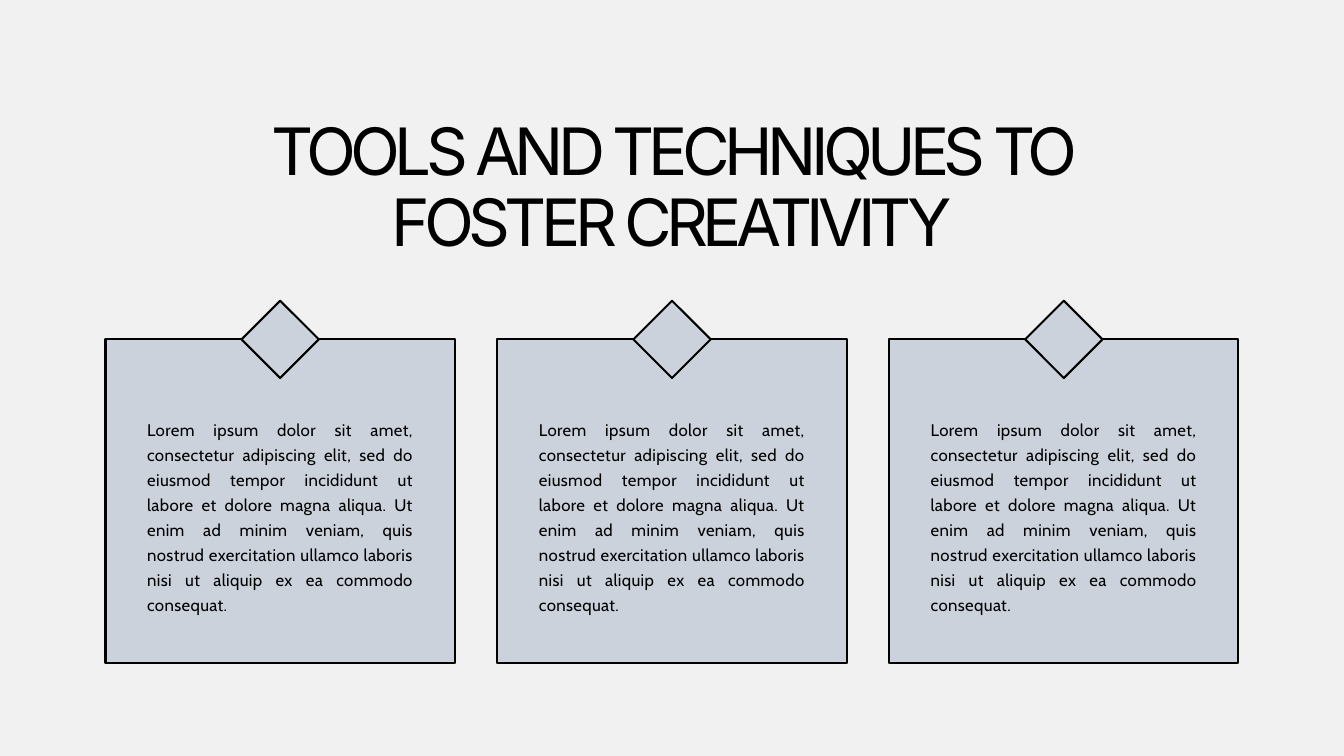
from dataclasses import dataclass

from pptx import Presentation
from pptx.dml.color import RGBColor
from pptx.enum.shapes import MSO_SHAPE
from pptx.enum.text import MSO_AUTO_SIZE, PP_ALIGN
from pptx.util import Pt

RECTANGLE, DIAMOND = MSO_SHAPE.RECTANGLE, MSO_SHAPE.DIAMOND
CENTER, JUSTIFY = PP_ALIGN.CENTER, PP_ALIGN.JUSTIFY
FIT_SHAPE = MSO_AUTO_SIZE.SHAPE_TO_FIT_TEXT

PX = 9144
SLIDE_WIDTH, SLIDE_HEIGHT = 2000, 1125
CARD_WIDTH, CARD_HEIGHT, CARD_GAP, CARD_TOP = 520, 481, 63, 505
DIAMOND_SIZE = 115

TITLE = "TOOLS AND TECHNIQUES TO FOSTER CREATIVITY"
LOREM = (
    "Lorem ipsum dolor sit amet, consectetur adipiscing elit, sed do eiusmod "
    "tempor incididunt ut labore et dolore magna aliqua. Ut enim ad minim "
    "veniam, quis nostrud exercitation ullamco laboris nisi ut aliquip ex ea "
    "commodo consequat."
)
CARDS = [LOREM, LOREM, LOREM]


@dataclass(frozen=True)
class TextStyle:
    font: str
    size: float
    leading: float
    tracking: float
    align: PP_ALIGN


@dataclass(frozen=True)
class Theme:
    background: RGBColor = RGBColor(0xF1, 0xF1, 0xF1)
    card: RGBColor = RGBColor(0xCC, 0xD2, 0xDC)
    ink: RGBColor = RGBColor(0, 0, 0)
    outline: float = 2.25
    title: TextStyle = TextStyle("Inter", 70, 75.6, -6, CENTER)
    body: TextStyle = TextStyle("Cabin", 18, 26.8, 0.4, JUSTIFY)


THEME = Theme()


def emu(*lengths):
    return [round(length * PX) for length in lengths]


def add_panel(slide, kind, box):
    panel = slide.shapes.add_shape(kind, *emu(*box))
    panel.shadow.inherit = False
    panel.fill.solid()
    panel.fill.fore_color.rgb = THEME.card
    panel.line.color.rgb = THEME.ink
    panel.line.width = Pt(THEME.outline)


def add_text(slide, box, text, style):
    frame = slide.shapes.add_textbox(*emu(*box)).text_frame
    frame.margin_left = frame.margin_top = 0
    frame.margin_right = frame.margin_bottom = 0
    frame.word_wrap = True
    frame.auto_size = FIT_SHAPE
    paragraph = frame.paragraphs[0]
    paragraph.alignment = style.align
    paragraph.line_spacing = Pt(style.leading)
    run = paragraph.add_run()
    run.text = text
    run._r.get_or_add_rPr().set("spc", str(round(style.tracking * 100)))
    paragraph.font.name = style.font
    paragraph.font.size = Pt(style.size)
    paragraph.font.color.rgb = THEME.ink


def add_title(slide, box):
    add_text(slide, box, TITLE, THEME.title)


def add_card(slide, box, text):
    left, top, width, height = box
    add_panel(slide, RECTANGLE, box)
    add_text(slide, (left + 62, top + 112, width - 124, 290), text, THEME.body)
    diamond_left = left + (width - DIAMOND_SIZE) / 2
    diamond_top = top - DIAMOND_SIZE / 2
    add_panel(slide, DIAMOND, (diamond_left, diamond_top, DIAMOND_SIZE, DIAMOND_SIZE))


def main():
    deck = Presentation()
    deck.slide_width, deck.slide_height = emu(SLIDE_WIDTH, SLIDE_HEIGHT)
    slide = deck.slides.add_slide(deck.slide_layouts[6])
    slide.background.fill.solid()
    slide.background.fill.fore_color.rgb = THEME.background

    add_title(slide, (267, 176, 1466, 212))
    pitch = CARD_WIDTH + CARD_GAP
    first_left = (SLIDE_WIDTH - len(CARDS) * pitch + CARD_GAP) // 2
    for index, text in enumerate(CARDS):
        left = first_left + index * pitch
        add_card(slide, (left, CARD_TOP, CARD_WIDTH, CARD_HEIGHT), text)

    deck.save("out.pptx")


if __name__ == "__main__":
    main()
